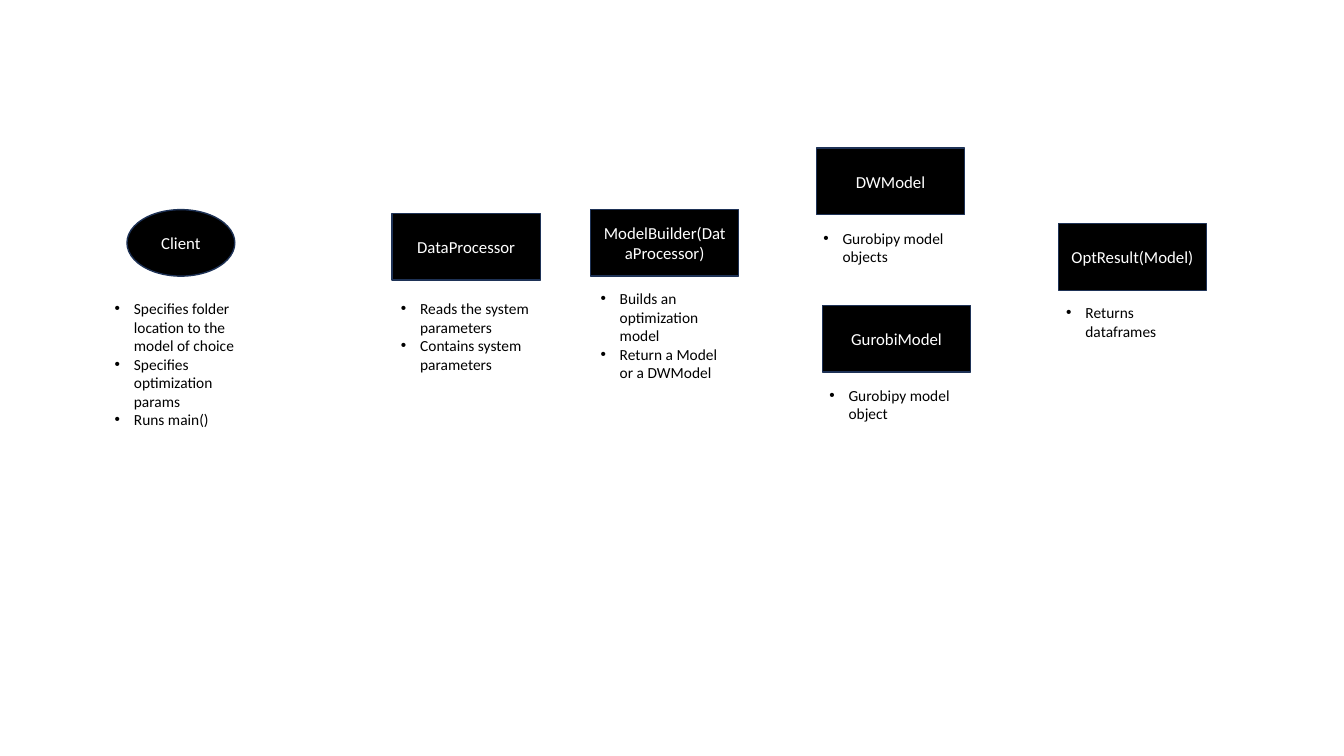
from pptx import Presentation
from pptx.dml.color import RGBColor
from pptx.enum import shapes as sh, text as tx
from pptx.oxml import parse_xml
from pptx.oxml.ns import nsdecls
from pptx.util import Inches, Pt

COLORS = {"fill": "000000", "edge": "1E3256", "label": "FFFFFF", "note": "000000"}
FONT = "Calibri"
RECT, OVAL = sh.MSO_SHAPE.RECTANGLE, sh.MSO_SHAPE.OVAL
BOX_W, OVAL_W, NODE_H, NOTE_W = 1.47, 1.07, 0.66, 1.5
INDENT = Inches(0.19)

# kind, name, node left and top, note left, top and height, note items
NODES = [
    (OVAL, "Client", 1.26, 2.08, 1.04, 2.92, 1.4,
     ["Specifies folder location to the model of choice",
      "Specifies optimization params", "Runs main()"]),
    (RECT, "ModelBuilder(DataProcessor)", 5.86, 2.08, 5.86, 2.82, 1.03,
     ["Builds an optimization model", "Return a Model or a DWModel"]),
    (RECT, "DataProcessor", 3.89, 2.12, 3.88, 2.92, 0.84,
     ["Reads the system parameters", "Contains system parameters"]),
    (RECT, "DWModel", 8.1, 1.47, 8.07, 2.22, 0.47, ["Gurobipy model objects"]),
    (RECT, "GurobiModel", 8.16, 3.03, 8.13, 3.78, 0.47, ["Gurobipy model object"]),
    (RECT, "OptResult(Model)", 10.5, 2.22, 10.48, 2.96, 0.47, ["Returns dataframes"]),
]


def color(name):
    return RGBColor.from_string(COLORS[name])


def add_run(para, words, size, tone):
    run = para.add_run()
    run.text = words
    run.font.name = FONT
    run.font.size = Pt(size)
    run.font.color.rgb = color(tone)


def add_bullet(para):
    """Give a paragraph a round bullet with a hanging indent."""
    props = para._p.get_or_add_pPr()
    props.set("marL", str(INDENT))
    props.set("indent", str(-INDENT))
    props.append(parse_xml(f'<a:buFont {nsdecls("a")} typeface="Arial"/>'))
    props.append(parse_xml(f'<a:buChar {nsdecls("a")} char="•"/>'))


def add_node(slide, kind, name, left, top):
    width = OVAL_W if kind == OVAL else BOX_W
    node = slide.shapes.add_shape(
        kind, Inches(left), Inches(top), Inches(width), Inches(NODE_H))
    node.shadow.inherit = False
    node.fill.solid()
    node.fill.fore_color.rgb = color("fill")
    node.line.color.rgb = color("edge")
    node.line.width = Pt(1)
    frame = node.text_frame
    frame.word_wrap = True
    frame.vertical_anchor = tx.MSO_ANCHOR.MIDDLE
    para = frame.paragraphs[0]
    para.alignment = tx.PP_ALIGN.CENTER
    add_run(para, name, 12, "label")


def add_note(slide, left, top, height, items):
    note = slide.shapes.add_textbox(
        Inches(left), Inches(top), Inches(NOTE_W), Inches(height))
    frame = note.text_frame
    frame.word_wrap = True
    frame.auto_size = tx.MSO_AUTO_SIZE.SHAPE_TO_FIT_TEXT
    for i, item in enumerate(items):
        para = frame.add_paragraph() if i else frame.paragraphs[0]
        add_bullet(para)
        add_run(para, item, 11, "note")


def main():
    deck = Presentation()
    deck.slide_width, deck.slide_height = Inches(40 / 3), Inches(7.5)
    slide = deck.slides.add_slide(deck.slide_layouts[6])
    for kind, name, left, top, *note in NODES:
        add_node(slide, kind, name, left, top)
        add_note(slide, *note)
    deck.save("out.pptx")


if __name__ == "__main__":
    main()
